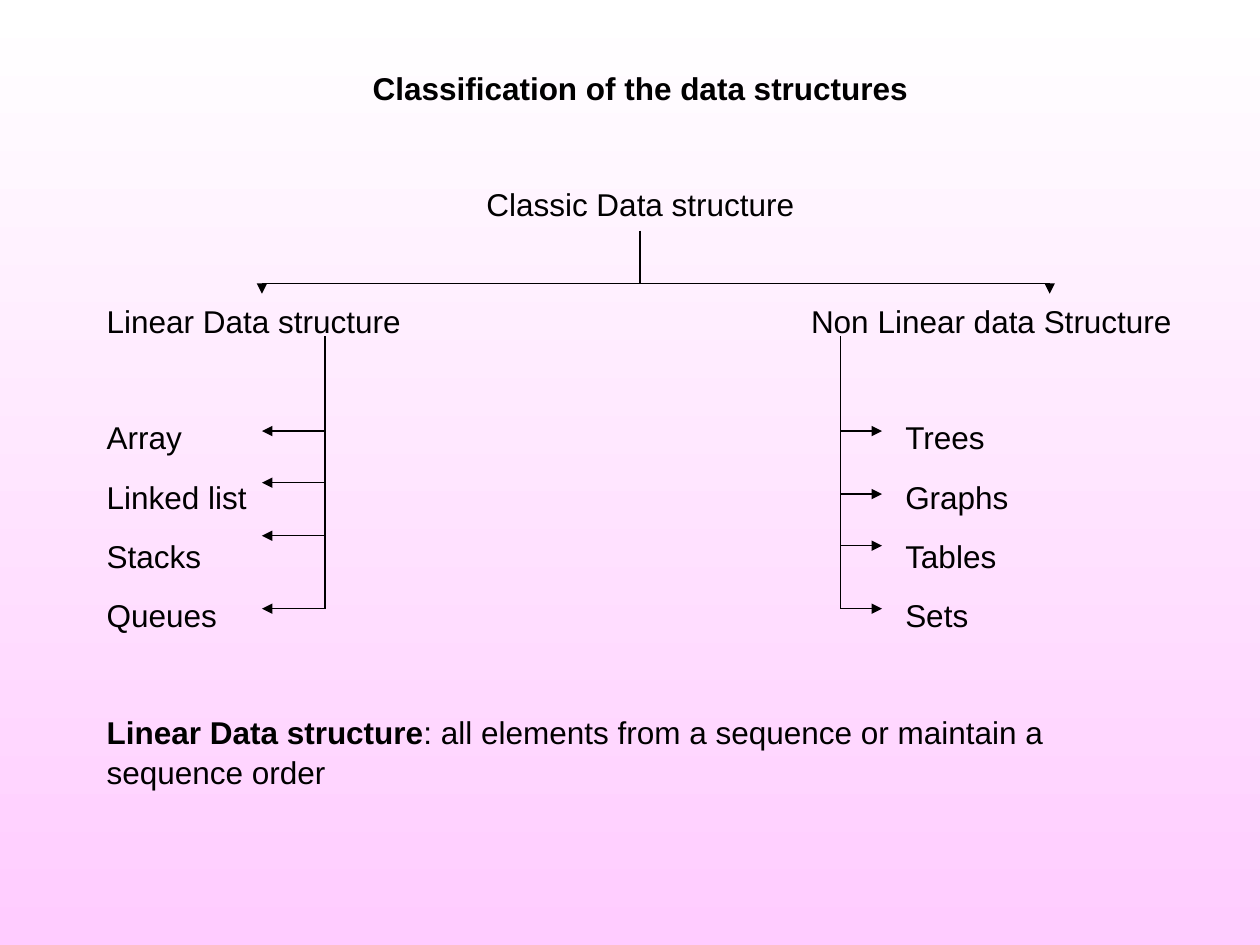
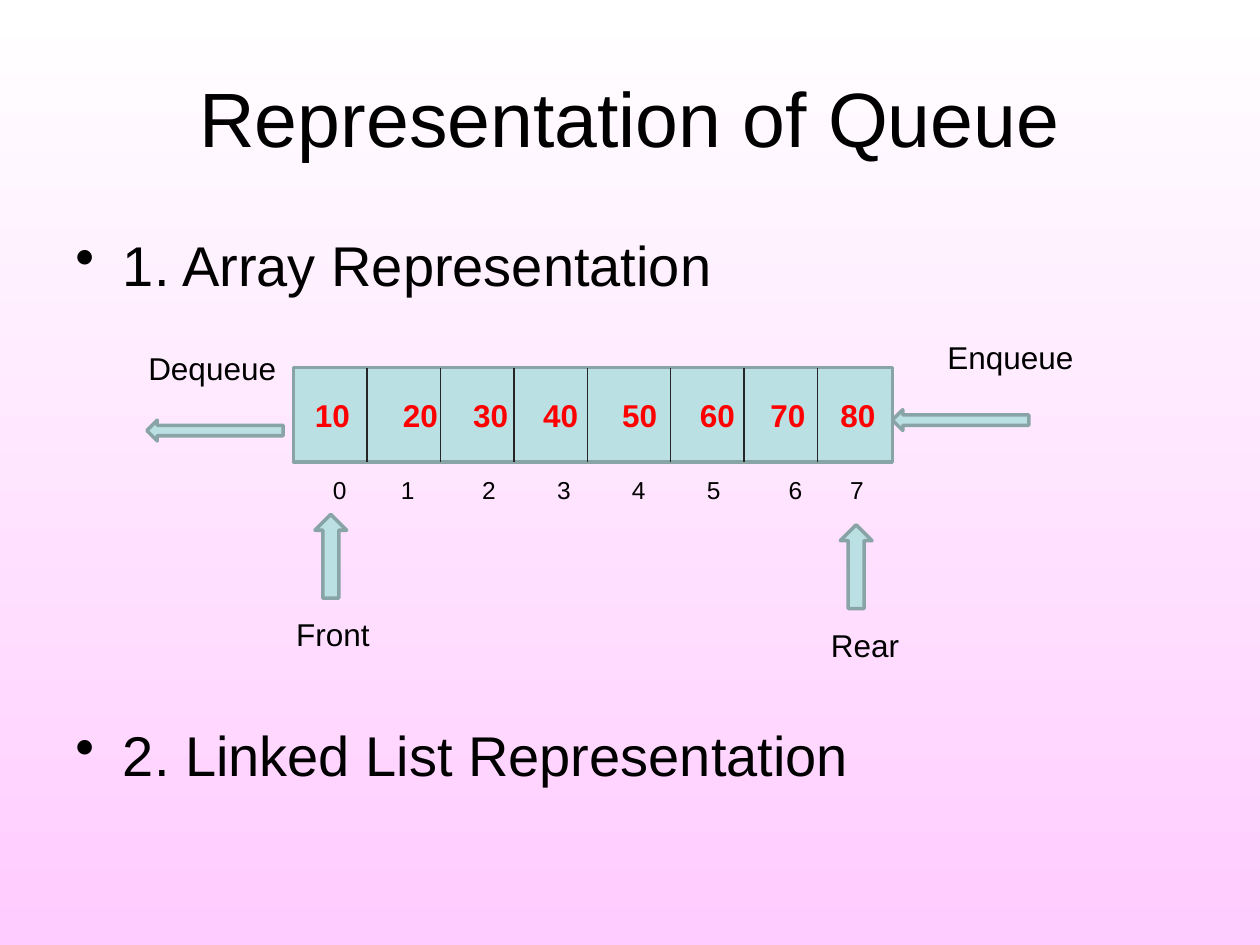
"""Builds two slides on data structures: a classification tree and an array queue."""
import pptx
import pptx.dml.color
import pptx.enum.shapes
import pptx.enum.text
import pptx.oxml.ns
import pptx.util
from lxml import etree

Cm = pptx.util.Cm
Pt = pptx.util.Pt
RGBColor = pptx.dml.color.RGBColor
Shape = pptx.enum.shapes.MSO_SHAPE
Align = pptx.enum.text.PP_ALIGN
Anchor = pptx.enum.text.MSO_ANCHOR
qn = pptx.oxml.ns.qn

FONT = "Arial"
BLACK = RGBColor(0x00, 0x00, 0x00)
WHITE = RGBColor(0xFF, 0xFF, 0xFF)
PINK = RGBColor(0xFF, 0xCC, 0xFF)
RED = RGBColor(0xFF, 0x00, 0x00)
TEAL = RGBColor(0xBB, 0xE0, 0xE3)
TEAL_EDGE = RGBColor(0x89, 0xA4, 0xA7)
DIVIDER = RGBColor(0x26, 0x26, 0x26)


def write(frame, text, size=18, color=BLACK, bold=False, lead="", before=0,
          align=Align.LEFT, spacing=1.0, tabs=(), bullet=False):
    paragraph = frame.add_paragraph() if frame.text else frame.paragraphs[0]
    properties = paragraph._p.get_or_add_pPr()
    if bullet:
        properties.set("marL", str(Cm(0.96)))
        properties.set("indent", str(-Cm(0.96)))
        bullet_color = etree.SubElement(properties, qn("a:buClr"))
        etree.SubElement(bullet_color, qn("a:srgbClr"), val=str(color))
        etree.SubElement(properties, qn("a:buChar"), char="•")
    if tabs:
        stops = etree.SubElement(properties, qn("a:tabLst"))
        for stop in tabs:
            etree.SubElement(stops, qn("a:tab"), pos=str(Cm(stop)), algn="l")
    paragraph.alignment = align
    paragraph.line_spacing = spacing
    if before:
        paragraph.space_before = Pt(before)
    for part, is_bold in ((lead, True), (text, bold)):
        if part:
            run = paragraph.add_run()
            run.text = part
            run.font.name = FONT
            run.font.size = Pt(size)
            run.font.bold = is_bold
            run.font.color.rgb = color


class Deck:
    def __init__(self):
        self.prs = pptx.Presentation()
        self.prs.slide_width, self.prs.slide_height = Cm(25.4), Cm(19.05)
        backdrop = self.prs.slide_master.background.fill
        backdrop.gradient()
        backdrop.gradient_angle = 270
        for stop, color in zip(backdrop.gradient_stops, (WHITE, PINK)):
            stop.color.rgb = color
        self.slide = None

    def new_slide(self, title, left, top, width, height, anchor, **style):
        self.slide = self.prs.slides.add_slide(self.prs.slide_layouts[5])
        heading = self.slide.shapes.title
        heading.left, heading.top = Cm(left), Cm(top)
        heading.width, heading.height = Cm(width), Cm(height)
        frame = heading.text_frame
        frame.auto_size = pptx.enum.text.MSO_AUTO_SIZE.NONE
        frame.vertical_anchor = anchor
        write(frame, title, align=Align.CENTER, **style)

    def text_box(self, left, top, width, height):
        box = self.slide.shapes.add_textbox(Cm(left), Cm(top), Cm(width), Cm(height))
        box.text_frame.word_wrap = True
        return box.text_frame

    def label(self, text, left, top):
        write(self.text_box(left, top, 3.4, 1.02), text)

    def line(self, x1, y1, x2, y2, color=BLACK, arrow=False):
        connector = self.slide.shapes.add_connector(
            pptx.enum.shapes.MSO_CONNECTOR.STRAIGHT, Cm(x1), Cm(y1), Cm(x2), Cm(y2))
        connector.line.color.rgb = color
        connector.line.width = Pt(0.75)
        if arrow:
            etree.SubElement(connector.line._get_or_add_ln(), qn("a:tailEnd"), type="triangle")
        etree.SubElement(connector._element.spPr, qn("a:effectLst"))

    def block(self, kind, left, top, width, height):
        shape = self.slide.shapes.add_shape(kind, Cm(left), Cm(top), Cm(width), Cm(height))
        shape.shadow.inherit = False
        shape.fill.solid()
        shape.fill.fore_color.rgb = TEAL
        shape.line.color.rgb = TEAL_EDGE
        shape.line.width = Pt(2)
        shape.text_frame.vertical_anchor = Anchor.MIDDLE
        return shape.text_frame


def classification(deck):
    deck.new_slide("Classification of the data structures",
                   1.9, 1.27, 22.02, 1.2, Anchor.TOP, bold=True)
    tree = deck.text_box(1.9, 3.56, 22.02, 12.2)
    row_gap, group_gap, leading = 11.2, 44.1, 1.05
    write(tree, "Classic Data structure", align=Align.CENTER, spacing=leading)
    write(tree, "Linear Data structure\tNon Linear data Structure",
          before=group_gap, spacing=leading, tabs=[14.2])
    members = [("Array", "Trees"), ("Linked list", "Graphs"),
               ("Stacks", "Tables"), ("Queues", "Sets")]
    for row, pair in enumerate(members):
        write(tree, "\t".join(pair), before=row_gap if row else group_gap,
              spacing=leading, tabs=[16.1])
    write(tree, ": all elements from a sequence or maintain a sequence order",
          lead="Linear Data structure", before=group_gap, spacing=leading)

    root, linear, non_linear, fork = 12.9, 5.28, 21.16, 5.72
    deck.line(root, 4.65, root, fork)
    deck.line(linear, fork, non_linear, fork)
    for branch in (linear, non_linear):
        deck.line(branch, fork, branch, 5.92, arrow=True)
    for stem, tip, rows in ((6.55, 5.28, (8.69, 9.73, 10.8, 12.27)),
                            (16.94, 17.78, (8.69, 9.96, 11, 12.27))):
        deck.line(stem, 6.78, stem, rows[-1])
        for y in rows:
            deck.line(stem, y, tip, y, arrow=True)


def queue(deck):
    deck.new_slide("Representation of Queue", 1.27, 0.76, 22.86, 3.18,
                   Anchor.MIDDLE, size=44)
    topics = deck.text_box(1.27, 4.45, 22.86, 13.13)
    write(topics, "1. Array Representation", size=32, bullet=True, spacing=1.05)
    write(topics, "2. Linked List Representation", size=32, bullet=True,
          spacing=1.05, before=239.7)

    left, top, width, height = 5.92, 7.41, 12.07, 1.91
    values = {10: 0.18, 20: 1.95, 30: 3.37, 40: 4.78, 50: 6.37, 60: 7.94, 70: 9.36, 80: 10.77}
    indices = {0: 0.54, 1: 1.91, 2: 3.55, 3: 5.06, 4: 6.57, 5: 8.08, 6: 9.73, 7: 10.97}
    cells = deck.block(Shape.RECTANGLE, left, top, width, height)
    index_row = deck.text_box(left, 9.45, width, 0.9)
    for frame, entries, style in ((cells, values, {"color": RED, "bold": True}),
                                  (index_row, indices, {"size": 14})):
        write(frame, "".join(f"\t{entry}" for entry in entries),
              tabs=entries.values(), **style)
    for cell in range(1, len(values)):
        x = left + 1.48 * cell + (0.2 if cell > 4 else 0)
        deck.line(x, top, x, top + height, color=DIVIDER)

    for x, y in ((17.99, 8.26), (2.96, 8.47)):
        deck.block(Shape.LEFT_ARROW, x, y, 2.75, 0.42)
    for x, y in ((6.35, 10.37), (16.94, 10.58)):
        deck.block(Shape.UP_ARROW, x, y, 0.64, 1.69)
    for name, x, y in (("Dequeue", 2.74, 6.91), ("Enqueue", 18.85, 6.69),
                       ("Front", 5.72, 12.28), ("Rear", 16.5, 12.5)):
        deck.label(name, x, y)


def main():
    deck = Deck()
    classification(deck)
    queue(deck)
    deck.prs.save("out.pptx")


if __name__ == "__main__":
    main()
